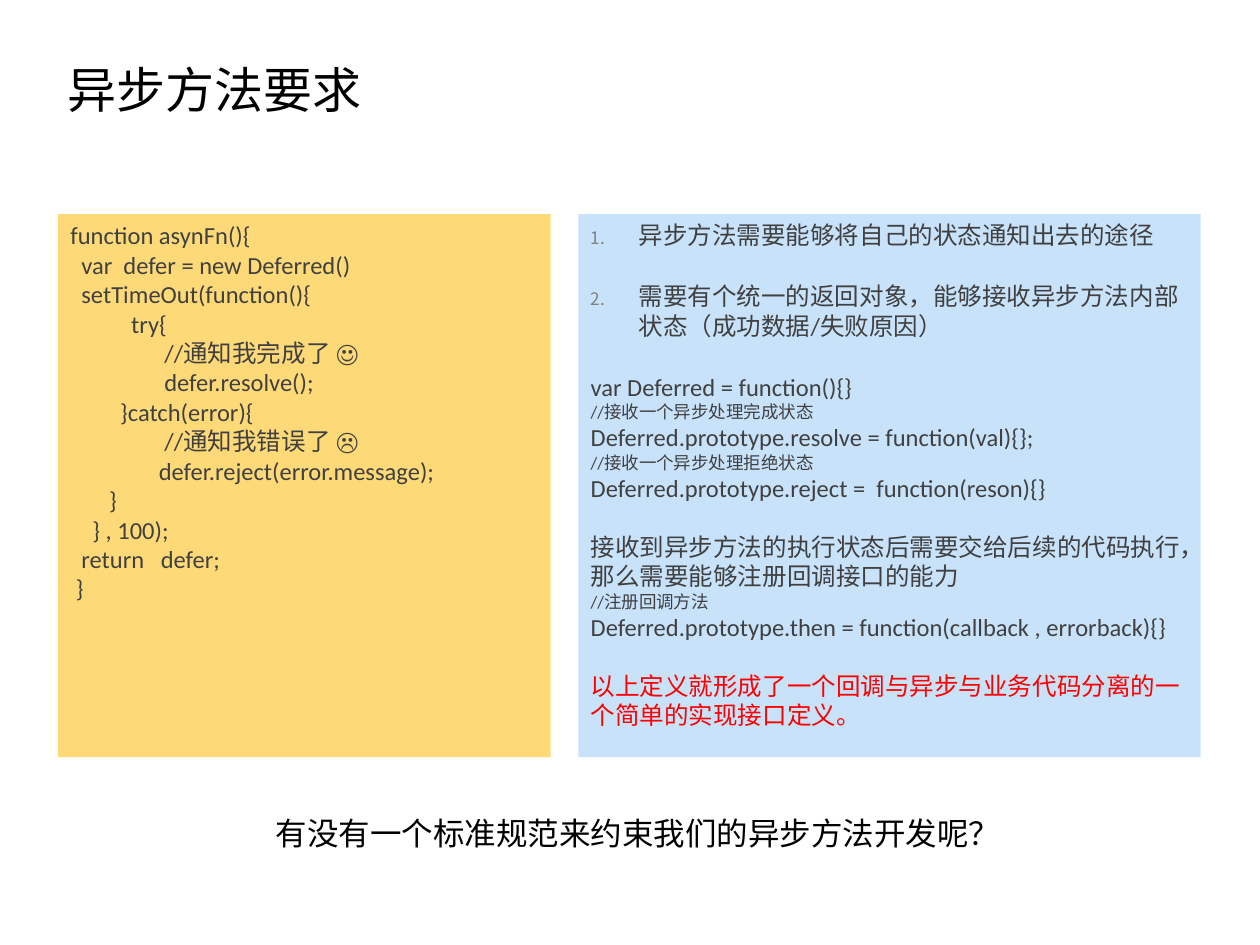
from lxml.etree import SubElement
from pptx import Presentation
from pptx.dml.color import RGBColor
from pptx.enum.shapes import MSO_SHAPE as Shape
from pptx.enum.text import MSO_ANCHOR as Anchor, PP_ALIGN as Align
from pptx.oxml.ns import qn
from pptx.util import Inches, Pt

INK, RED = "404040", "FF0000"
SPACE_WIDTH = 3.16
PANEL_TOP, PANEL_HEIGHT = 1.7, 4.31

CODE = [
    (0, "function asynFn(){"),
    (2, "var  defer = new Deferred()"),
    (2, "setTimeOut(function(){"),
    (11, "try{"),
    (17, "//通知我完成了 ☺"),
    (17, "defer.resolve();"),
    (9, "}catch(error){"),
    (17, "//通知我错误了 ☹"),
    (16, "defer.reject(error.message);"),
    (7, "}"),
    (4, "} , 100);"),
    (2, "return   defer;"),
    (1, "}"),
]
REQUIREMENTS = [
    "异步方法需要能够将自己的状态通知出去的途径",
    "需要有个统一的返回对象，能够接收异步方法内部状态（成功数据/失败原因）",
]
INTERFACE = [
    ("var Deferred = function(){}", 14, 18, INK),
    ("//接收一个异步处理完成状态", 10, 0, INK),
    ("Deferred.prototype.resolve = function(val){};", 14, 0, INK),
    ("//接收一个异步处理拒绝状态", 10, 0, INK),
    ("Deferred.prototype.reject =  function(reson){}", 14, 0, INK),
    ("接收到异步方法的执行状态后需要交给后续的代码执行，那么需要能够注册回调接口的能力", 14, 17, INK),
    ("//注册回调方法", 10, 0, INK),
    ("Deferred.prototype.then = function(callback , errorback){}", 14, 0, INK),
    ("以上定义就形成了一个回调与异步与业务代码分离的一个简单的实现接口定义。", 14, 17, RED),
]


def color(hex_code):
    return RGBColor.from_string(hex_code)


def add_line(frame, text, size=14, before=0, ink=INK):
    line = frame.paragraphs[0]
    if line.runs:
        line = frame.add_paragraph()
    line.add_run().text = text
    line.alignment = Align.LEFT
    line.space_before = Pt(before)
    line.font.size = Pt(size)
    line.font.name = "Calibri"
    line.font.color.rgb = color(ink)
    return line


def indent(line, left, first=0):
    props = line._p.get_or_add_pPr()
    props.set("marL", str(int(left)))
    props.set("indent", str(int(first)))
    return props


def number(line):
    props = indent(line, Inches(0.38), Inches(-0.38))
    defaults = props.find(qn("a:defRPr"))
    props.remove(defaults)
    bullet_color = SubElement(props, qn("a:buClr"))
    SubElement(bullet_color, qn("a:srgbClr"), val="808080")
    SubElement(props, qn("a:buSzPct"), val="70000")
    SubElement(props, qn("a:buFont"), typeface="Calibri")
    SubElement(props, qn("a:buAutoNum"), type="arabicPeriod")
    props.append(defaults)


def add_panel(slide, left, width, fill):
    panel = slide.shapes.add_shape(
        Shape.RECTANGLE, Inches(left), Inches(PANEL_TOP), Inches(width), Inches(PANEL_HEIGHT))
    panel.shadow.inherit = False
    panel.fill.solid()
    panel.fill.fore_color.rgb = color(fill)
    panel.line.fill.background()
    frame = panel.text_frame
    frame.word_wrap = True
    frame.vertical_anchor = Anchor.TOP
    return frame


def add_code_panel(slide, left, width):
    frame = add_panel(slide, left, width, "FDD978")
    for spaces, text in CODE:
        indent(add_line(frame, text), Pt(spaces * SPACE_WIDTH))


def add_interface_panel(slide, left, width):
    frame = add_panel(slide, left, width, "C8E2FA")
    for requirement in REQUIREMENTS:
        number(add_line(frame, requirement, before=18))
    for text, size, before, ink in INTERFACE:
        add_line(frame, text, size, before, ink)


def add_heading(slide, text, left, top, width, height, size, anchor, wrap):
    heading = slide.shapes.add_textbox(Inches(left), Inches(top), Inches(width), Inches(height))
    frame = heading.text_frame
    frame.word_wrap = wrap
    frame.vertical_anchor = anchor
    add_line(frame, text, size, ink="000000")


deck = Presentation()
deck.slide_width, deck.slide_height = Inches(10), Inches(7.5)
slide = deck.slides.add_slide(deck.slide_layouts[6])
add_heading(slide, "异步方法要求", 0.44, 0.43, 9.09, 0.56, 28, Anchor.BOTTOM, True)
add_code_panel(slide, 0.46, 3.91)
add_interface_panel(slide, 4.59, 4.94)
add_heading(slide, "有没有一个标准规范来约束我们的异步方法开发呢？", 2.09, 6.41, 6.01, 0.4, 18, Anchor.TOP, False)
deck.save("out.pptx")
